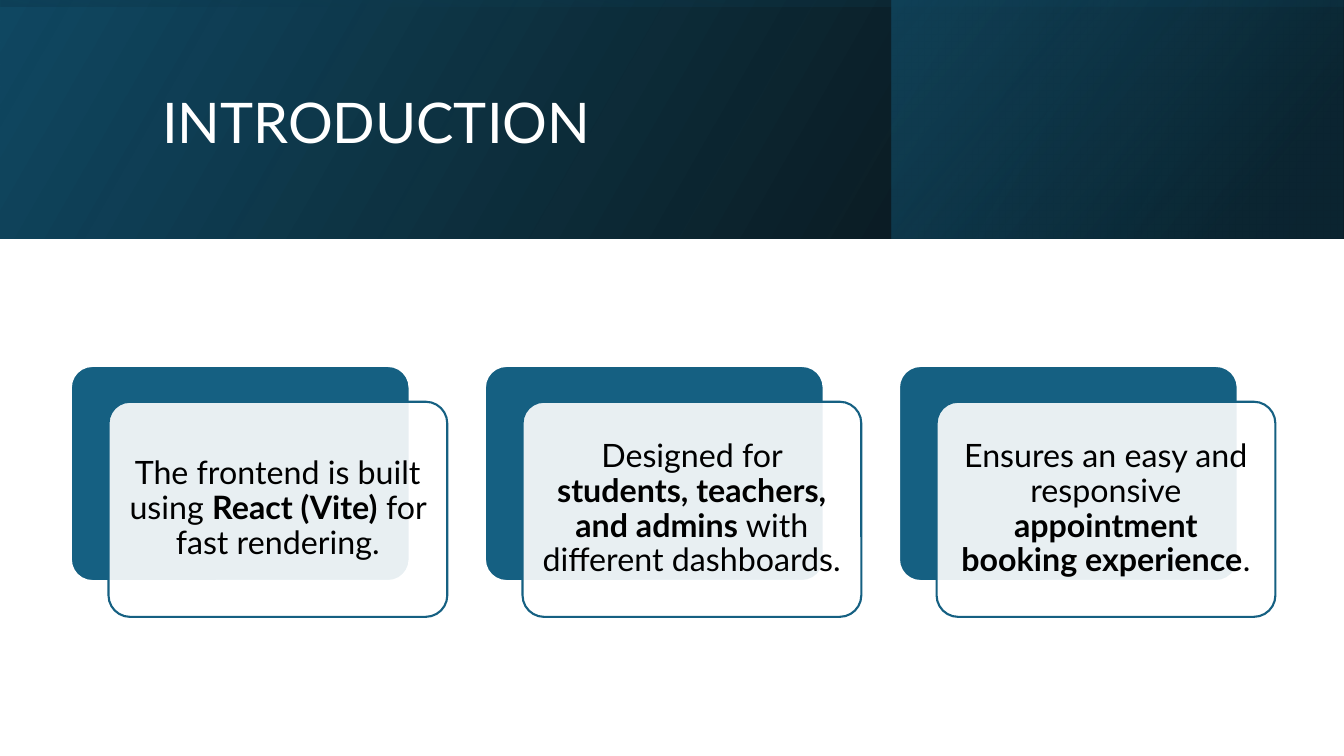
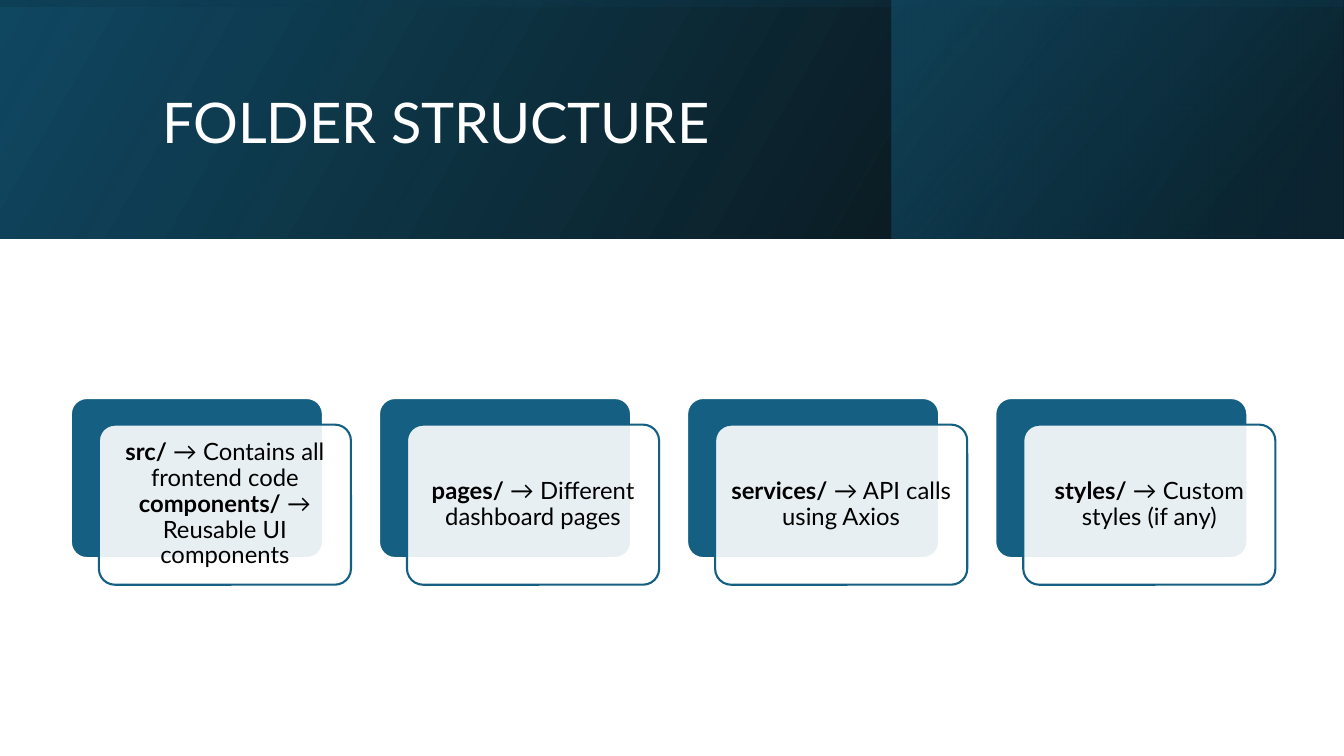
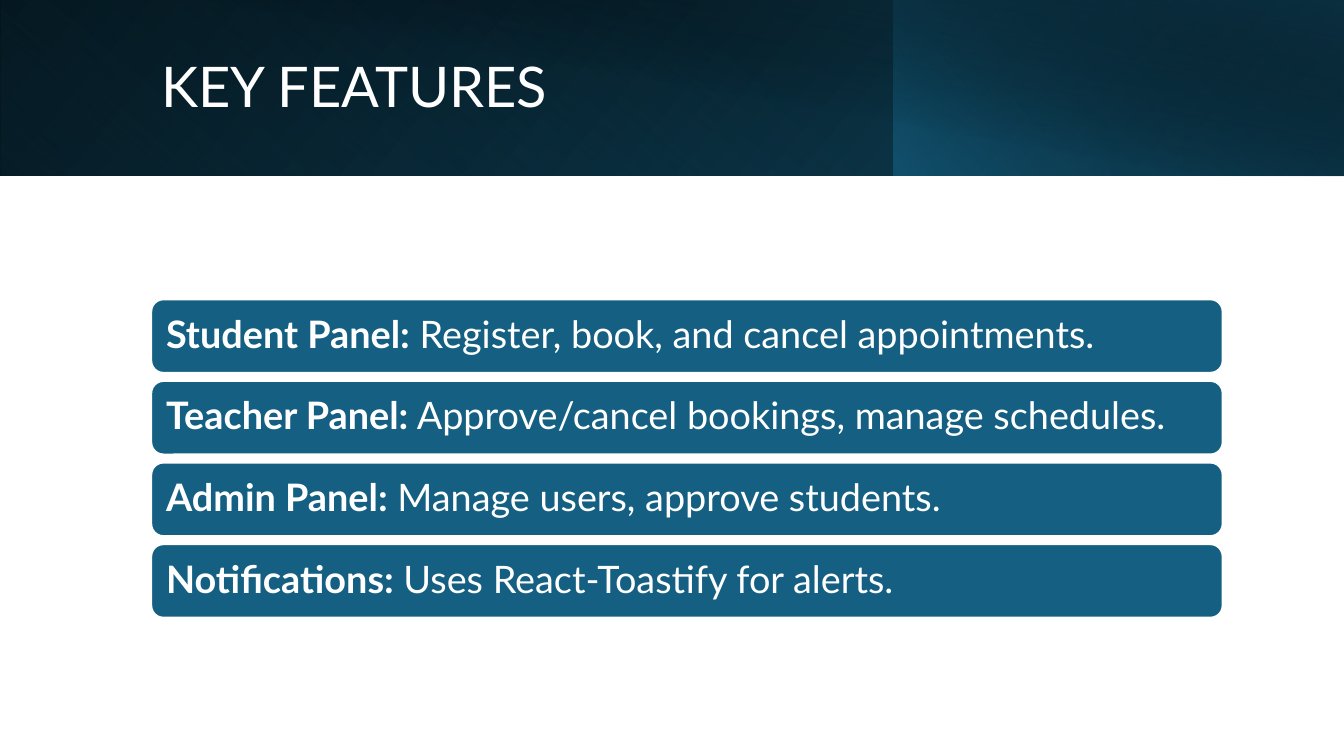
from lxml.etree import SubElement
from pptx import Presentation
from pptx.dml.color import RGBColor
from pptx.enum.shapes import MSO_SHAPE
from pptx.enum.text import MSO_ANCHOR, PP_ALIGN
from pptx.oxml.ns import qn
from pptx.util import Pt

COLORS = {"white": "FFFFFF", "black": "000000", "teal": "156082",
          "blue": "104862", "navy": "0B3041"}

TALL_BAND = [
    ((0, 0, 960, 170.6), 0, True, 330, [(0, "black", 96), (100, "blue", 100)]),
    ((636.6, 0, 322.8, 170.6), 0, True, 320, [(19, "navy", 68), (100, "teal", 48)]),
    ((394.7, -394.7, 170.6, 960), 270, True, 350, [(23, "blue", 16), (99, "black", 45)]),
]
SHORT_BAND = [
    ((0, 0, 960, 125.4), 0, True, 140, [(0, "black", 100), (100, "blue", 100)]),
    ((0, 0, 639.4, 125.4), 180, True, 230, [(20, "teal", 0), (100, "navy", 55)]),
    ((638.6, 0, 321.4, 125.4), 0, True, 220, [(0, "teal", 66), (100, "black", 30)]),
    ((36, 0, 924, 125.8), 0, False, 280, [(50, "black", 0), (99, "navy", 52)]),
]


class Deck:
    """Holds the shared style and the slide being drawn."""

    font = "Lato"
    title_size = 40
    line_width = 1.5

    def __init__(self):
        self.prs = Presentation()
        self.prs.slide_width, self.prs.slide_height = Pt(960), Pt(540)
        self.s = None

    def rgb(self, name):
        return RGBColor.from_string(COLORS[name])

    def slide(self, title, band, title_box):
        self.s = self.prs.slides.add_slide(self.prs.slide_layouts[6])
        for part in band:
            self.gradient(*part)
        sp = self.s.shapes.add_textbox(*map(Pt, title_box))
        self.text(sp, title, self.title_size, "white")

    def shape(self, kind, box):
        sp = self.s.shapes.add_shape(kind, *map(Pt, box))
        sp.shadow.inherit = False
        return sp

    def opacity(self, sp, percents):
        colors = list(sp._element.spPr.iter(qn("a:srgbClr")))
        for color, percent in zip(colors, percents):
            SubElement(color, qn("a:alpha"), val=str(percent * 1000))

    def gradient(self, box, rotation, flip, angle, stops):
        sp = self.shape(MSO_SHAPE.RECTANGLE, box)
        sp.rotation = rotation
        if flip:
            sp._element.spPr.xfrm.set("flipH", "1")
        sp.fill.gradient()
        sp.fill.gradient_angle = 360 - angle
        for stop, (position, color, _) in zip(sp.fill.gradient_stops, stops):
            stop.position = position / 100
            stop.color.rgb = self.rgb(color)
        self.opacity(sp, [percent for _, _, percent in stops])
        sp.line.fill.background()

    def panel(self, box, fill, line, corner, opacity=100):
        sp = self.shape(MSO_SHAPE.ROUNDED_RECTANGLE, box)
        sp.adjustments[0] = corner
        sp.fill.solid()
        sp.fill.fore_color.rgb = self.rgb(fill)
        if opacity < 100:
            self.opacity(sp, [opacity])
        sp.line.color.rgb = self.rgb(line)
        sp.line.width = Pt(self.line_width)
        return sp

    def text(self, sp, marked, size, color, align=PP_ALIGN.LEFT, inset=None):
        tf = sp.text_frame
        tf.word_wrap = True
        tf.vertical_anchor = MSO_ANCHOR.MIDDLE
        if inset is not None:
            tf.margin_left = tf.margin_right = Pt(inset)
            tf.margin_top = tf.margin_bottom = Pt(inset)
        p = tf.paragraphs[0]
        p.alignment = align
        p.line_spacing = 0.9
        p.font.name = self.font
        p.font.size = Pt(size)
        p.font.color.rgb = self.rgb(color)
        for i, piece in enumerate(marked.split("*")):
            if piece:
                r = p.add_run()
                r.text = piece
                if i % 2:
                    r.font.bold = True

    def cards(self, texts, size, left=50.6, width=860.4, middle=351):
        w = width * 9 / (11 * len(texts) - 1)
        h, dx, dy = w * 0.635, w / 9, w * 0.1056
        top = middle - (h + dy) / 2
        for i, marked in enumerate(texts):
            x = left + i * w * 11 / 9
            self.panel((x, top, w, h), "teal", "white", 0.1)
            sp = self.panel((x + dx, top + dy, w, h), "white", "teal", 0.1, 90)
            self.text(sp, marked, size, "black", PP_ALIGN.CENTER, size * 0.3)

    def bars(self, texts, size, left=108, top=213.8, width=765.4, height=52.6, pitch=58.3):
        for i, marked in enumerate(texts):
            box = (left, top + i * pitch, width, height)
            sp = self.panel(box, "teal", "white", 0.1667)
            self.text(sp, marked, size, "white", inset=size * 0.3)


def main():
    deck = Deck()
    tall_title = (108.7, 27.4, 765.4, 123.8)
    deck.slide("INTRODUCTION", TALL_BAND, tall_title)
    deck.cards([
        "The frontend is built using *React (Vite)* for fast rendering.",
        "Designed for *students, teachers, and admins* with different dashboards.",
        "Ensures an easy and responsive *appointment booking experience*.",
    ], 23)

    deck.slide("FOLDER STRUCTURE", TALL_BAND, tall_title)
    deck.cards([
        "*src/* → Contains all frontend code *components/* → Reusable UI components",
        "*pages/* → Different dashboard pages",
        "*services/* → API calls using Axios",
        "*styles/* → Custom styles (if any)",
    ], 17)

    deck.slide("KEY FEATURES", SHORT_BAND, (108, 23, 779, 81.4))
    deck.bars([
        "*Student Panel:* Register, book, and cancel appointments.",
        "*Teacher Panel:* Approve/cancel bookings, manage schedules.",
        "*Admin Panel:* Manage users, approve students.",
        "*Notifications:* Uses React-Toastify for alerts.",
    ], 27)
    deck.prs.save("out.pptx")


if __name__ == "__main__":
    main()
